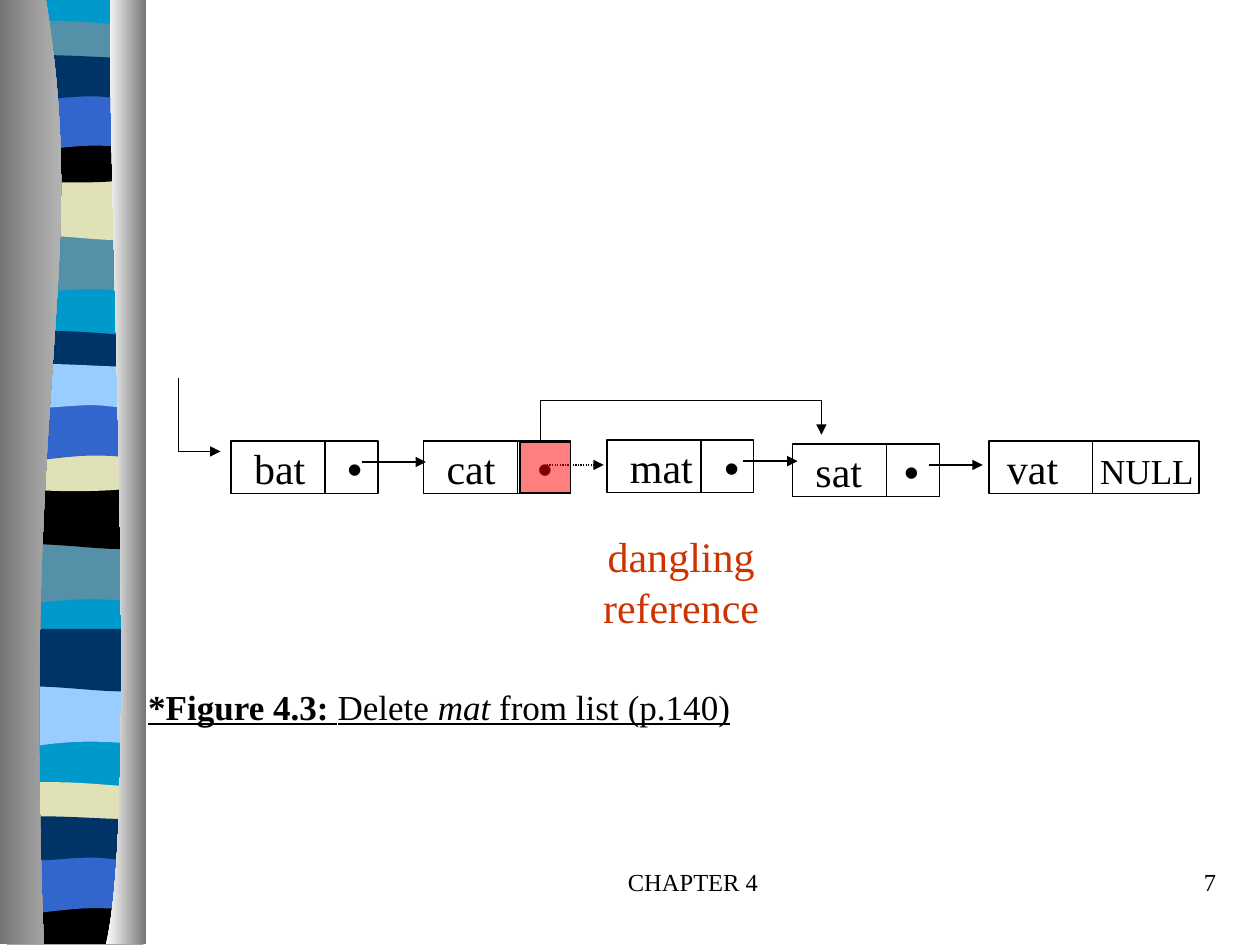
"""Build the linked-list deletion slide with its striped side border."""
from dataclasses import dataclass
from typing import Optional

from lxml.etree import SubElement
from pptx import Presentation
from pptx.dml.color import RGBColor
from pptx.enum.dml import MSO_LINE
from pptx.enum.shapes import MSO_CONNECTOR, MSO_SHAPE
from pptx.enum.text import PP_ALIGN
from pptx.oxml.ns import qn
from pptx.util import Pt

BLACK = RGBColor(0x00, 0x00, 0x00)
WHITE = RGBColor(0xFF, 0xFF, 0xFF)
RED = RGBColor(0xFF, 0x00, 0x00)
RUST = RGBColor(0xCC, 0x33, 0x00)
CYAN = RGBColor(0x00, 0x99, 0xCC)
TEAL = RGBColor(0x54, 0x90, 0xA8)
SAND = RGBColor(0xE1, 0xE1, 0xB7)
BLUE = RGBColor(0x33, 0x66, 0xCC)
NAVY = RGBColor(0x00, 0x33, 0x66)
SKY = RGBColor(0x99, 0xCC, 0xFF)
DARK_GRAY = RGBColor(0x76, 0x76, 0x76)
LIGHT_GRAY = RGBColor(0xD2, 0xD2, 0xD2)
SERIF = "Times New Roman"
STRIPE_RIGHT = 82
NODE_HEIGHT = 30

PROFILES = {
    "base": [(82, 538), (4, 538), (4, 0)],
    "wave": [(82, 34), (28, 28, 17, 39, 4, 34), (4, 0)],
    "ripple": [(82, 34), (69, 39.5, 28, 30, 4, 34), (4, 0)],
    "lens": [(82, 17), (69, 20, 17, 20, 4, 17), (4, 0),
             (9, -3.5, 21, -3, 34, -3), (47, -3, 72, -0.5, 82, 0)],
    "cup": [(82, 23.5), (69, 27.5, 17, 27.5, 4, 23.5), (4, 0), (52, 3.5, 65, 0, 82, 0)],
    "foot": [(82, 27), (4, 27), (4, 0), (52, 3.5, 65, 0, 82, 0)],
    "arch": [(82, 34), (70, 30, 65, 30, 52, 30), (39, 30, 16, 34, 4, 34), (4, 0)],
    "flag": [(82, 22), (77, 26, 65, 22, 52, 22), (39, 22, 12, 26, 4, 22), (4, 0),
             (15, -3.5, 57, 0, 70, 0)],
}
STRIPES = [
    ("base", 0, CYAN),
    ("wave", 133.2, TEAL), ("ripple", 101.5, SAND), ("lens", 15, TEAL),
    ("cup", 77.8, BLACK), ("arch", 53.3, BLUE), ("flag", 33, NAVY),
    ("wave", 310.3, TEAL), ("ripple", 278, BLACK), ("lens", 192.2, NAVY),
    ("cup", 254.2, SAND), ("arch", 230.4, BLUE), ("flag", 209.5, SKY),
    ("wave", 391.7, SKY), ("ripple", 359.3, NAVY), ("lens", 450, SAND),
    ("foot", 512.6, BLACK), ("arch", 489, BLUE), ("flag", 468, NAVY),
]


@dataclass
class Node:
    word: str
    left: float
    top: float
    stop: float
    width: float = 84
    divider: float = 53.8
    text_shift: float = 13.2
    link: str = "•"
    link_font: str = "Arial"
    link_size: float = 24


@dataclass
class Line:
    start: tuple
    end: tuple
    arrow: bool = False
    dotted: bool = False


@dataclass
class Piece:
    text: str
    size: float
    color: RGBColor = BLACK
    font: str = SERIF
    bold: bool = False
    italic: bool = False
    underline: bool = False


NODES = [
    Node("bat", 132, 252, 53.3),
    Node("cat", 242, 252, 52),
    Node("mat", 346.8, 251.4, 54),
    Node("sat", 452.8, 253.7, 50.7),
    Node("vat", 565.2, 252, 53.3, 120, 59, 10.2, "NULL", SERIF, 20),
]
LINES = [
    Line((102, 216), (102, 258)),
    Line((102, 258), (126, 258), arrow=True),
    Line((206.6, 264), (243.4, 264), arrow=True),
    Line((312.5, 265.7), (345, 265.7), arrow=True, dotted=True),
    Line((424.8, 263.5), (455.8, 263.5), arrow=True),
    Line((530.6, 265.7), (561.6, 265.7), arrow=True),
    Line((309, 252), (309, 228.7)),
    Line((309, 228.7), (469.4, 228.7)),
    Line((469.4, 228.7), (469.4, 248.4), arrow=True),
]


def add_outline(group, start: tuple, segments: list, top: float = 0):
    points = [start] + [segment[i:i + 2] for segment in segments
                        for i in range(0, len(segment), 2)]
    spots = [(Pt(x), Pt(y + top)) for x, y in points]
    builder = group.shapes.build_freeform(*spots[0], scale=1.0)
    builder.add_line_segments(spots[1:], close=True)
    shape = builder.convert_to_shape()
    outline = shape._element.find(f".//{qn('a:path')}")
    steps = iter(outline.findall(qn("a:lnTo")))
    for segment in segments:
        step = next(steps)
        if len(segment) == 6:
            step.tag = qn("a:cubicBezTo")
            for extra in (next(steps), next(steps)):
                step.append(extra[0])
                outline.remove(extra)
    shape.shadow.inherit = False
    shape.line.fill.background()
    return shape


def add_ribbon(group, start: tuple, segments: list, colors: tuple) -> None:
    fill = add_outline(group, start, segments).fill
    fill.gradient()
    fill.gradient_angle = 0
    for stop, color, position in zip(fill.gradient_stops, colors, (0, 1)):
        stop.color.rgb = color
        stop.position = position


def add_border(deck, page) -> None:
    group = page.shapes.add_group_shape()
    for kind, top, color in STRIPES:
        fill = add_outline(group, (STRIPE_RIGHT, 0), PROFILES[kind], top).fill
        fill.solid()
        fill.fore_color.rgb = color
    add_ribbon(group, (26.2, 0), [(51.5, 155.5, 12.2, 213, 25, 539.5), (0, 539.5), (0, 0)],
               (DARK_GRAY, LIGHT_GRAY))
    add_ribbon(group, (63.3, 0), [(60.5, 90, 80, 465, 60.5, 539.5), (83.5, 539.5), (83.5, 0)],
               (WHITE, DARK_GRAY))
    for number, label in enumerate(group._element.iter(qn("p:cNvPr")), 100):
        label.set("id", str(number))
    deck.slide_master.shapes._spTree.append(group._element)


def add_line(page, line: Line) -> None:
    ends = [Pt(value) for value in line.start + line.end]
    connector = page.shapes.add_connector(MSO_CONNECTOR.STRAIGHT, *ends)
    connector.line.color.rgb = BLACK
    connector.line.width = Pt(0.75)
    if line.dotted:
        connector.line.dash_style = MSO_LINE.ROUND_DOT
    properties = connector._element.spPr
    if line.arrow:
        SubElement(properties.find(qn("a:ln")), qn("a:tailEnd"), type="triangle")
    SubElement(properties, qn("a:effectLst"))


def add_cell(page, left: float, top: float, width: float, height: float,
             color: Optional[RGBColor] = None) -> None:
    cell = page.shapes.add_shape(MSO_SHAPE.RECTANGLE, Pt(left), Pt(top), Pt(width), Pt(height))
    cell.shadow.inherit = False
    cell.line.color.rgb = BLACK
    cell.line.width = Pt(0.75)
    if color is None:
        cell.fill.background()
        return
    cell.fill.solid()
    cell.fill.fore_color.rgb = color
    SubElement(cell._element.spPr.find(f".//{qn('a:srgbClr')}"), qn("a:alpha"), val="50000")


def add_text(page, left: float, top: float, width: float, height: float, lines: list,
             align=PP_ALIGN.LEFT, stop: Optional[float] = None):
    frame = page.shapes.add_textbox(Pt(left), Pt(top), Pt(width), Pt(height)).text_frame
    frame.word_wrap = True
    for index, pieces in enumerate(lines):
        para = frame.add_paragraph() if index else frame.paragraphs[0]
        para.alignment = align
        if stop is not None:
            tabs = SubElement(para._p.get_or_add_pPr(), qn("a:tabLst"))
            SubElement(tabs, qn("a:tab"), pos=str(Pt(stop)), algn="l")
        for piece in pieces:
            span = para.add_run()
            span.text = piece.text
            font = span.font
            font.name, font.size, font.color.rgb = piece.font, Pt(piece.size), piece.color
            font.bold, font.italic, font.underline = piece.bold, piece.italic, piece.underline
    return frame


def add_node(page, node: Node) -> None:
    add_cell(page, node.left, node.top, node.width, NODE_HEIGHT)
    middle = node.left + node.divider
    add_line(page, Line((middle, node.top), (middle, node.top + NODE_HEIGHT)))
    pieces = [Piece(node.word + "\t", 24), Piece(node.link, node.link_size, font=node.link_font)]
    frame = add_text(page, node.left, node.top - 2.7, node.width + 4, 36, [pieces], stop=node.stop)
    frame.margin_left, frame.margin_right = Pt(node.text_shift), 0


def main() -> None:
    deck = Presentation()
    deck.slide_width, deck.slide_height = Pt(720), Pt(540)
    page = deck.slides.add_slide(deck.slide_layouts[6])
    add_border(deck, page)
    add_text(page, 282, 492, 228, 36, [[Piece("CHAPTER 4", 14)]], PP_ALIGN.CENTER)
    add_text(page, 552, 492, 150, 36, [[Piece("7", 14)]], PP_ALIGN.RIGHT)
    for node in NODES:
        add_node(page, node)
    for line in LINES:
        add_line(page, line)
    caption = [("*Figure 4.3: ", True, False), ("Delete", False, False), (" mat", False, True),
               (" from list", False, False), (" ", True, False), ("(p.140)", False, False)]
    add_text(page, 77.6, 388, 347, 32, [[
        Piece(text, 20, bold=bold, italic=italic, underline=True)
        for text, bold, italic in caption]])
    add_cell(page, 297.2, 252.7, 29, 29, RED)
    add_text(page, 337.2, 299.8, 104, 65,
             [[Piece(word, 24, RUST)] for word in ("dangling", "reference")], PP_ALIGN.CENTER)
    deck.save("out.pptx")


if __name__ == "__main__":
    main()
